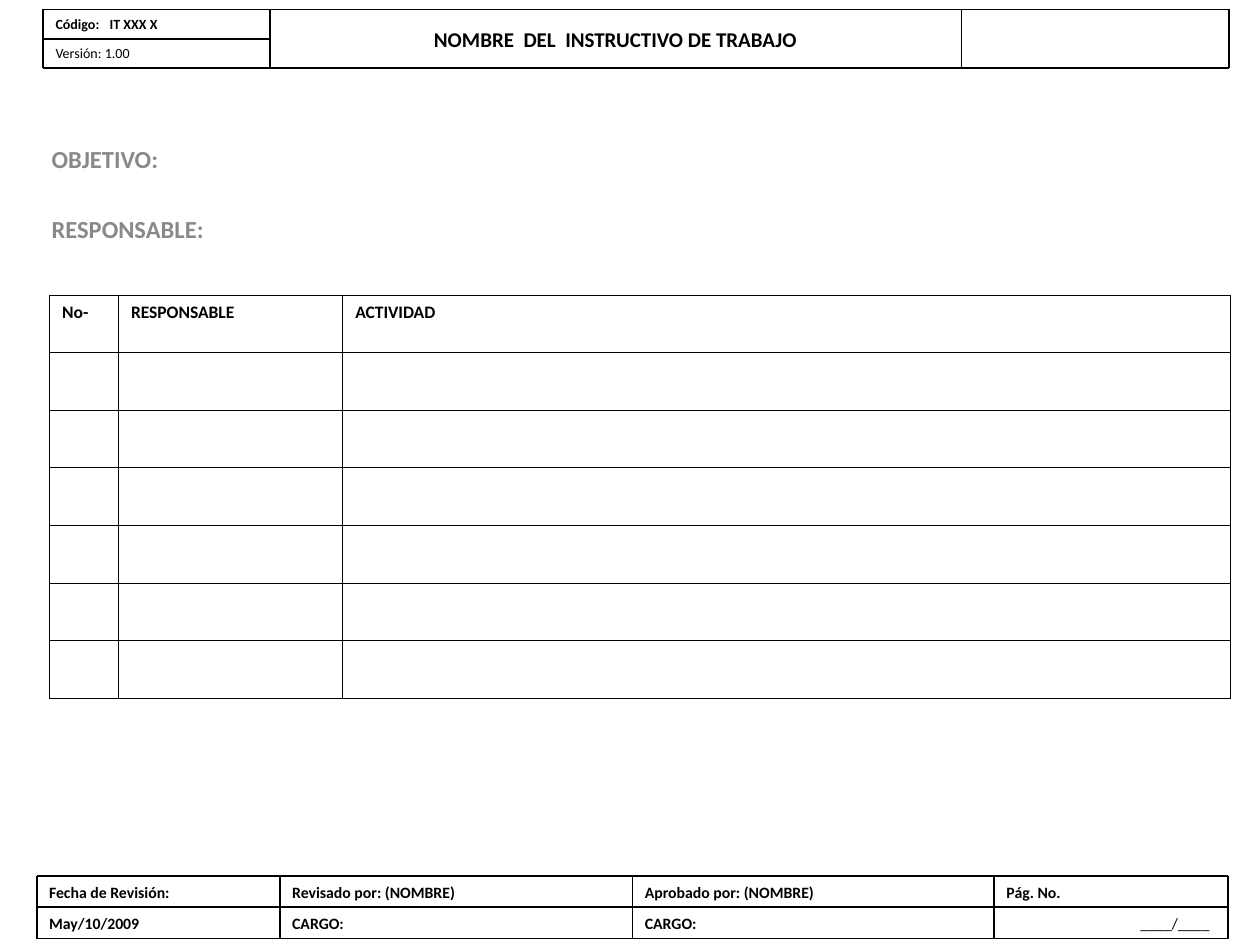
from lxml.etree import SubElement
from pptx import Presentation
from pptx.dml.color import RGBColor
from pptx.enum.shapes import MSO_CONNECTOR, MSO_SHAPE
from pptx.enum.text import MSO_ANCHOR, PP_ALIGN
from pptx.oxml import parse_xml
from pptx.oxml.ns import nsdecls, qn
from pptx.util import Cm, Pt

BLACK, WHITE, GRAY = "000000", "FFFFFF", "898989"
HEADER_X = [0.87, 5.44, 19.38, 24.78]
HEADER_Y = [0.19, 0.78, 1.37]
FOOTER_X = [0.74, 5.64, 12.75, 20.04, 24.76]
FOOTER_Y = [17.66, 18.29, 18.92]
FOOTER = [
    ["Fecha de Revisión:", "Revisado por: (NOMBRE)", "Aprobado por: (NOMBRE)", "Pág. No."],
    ["May/10/2009", "CARGO:", "CARGO:", "____/____"],
]
COLUMNS = [("No-", 1.39), ("RESPONSABLE", 4.52), ("ACTIVIDAD", 17.9)]
ROWS, ROW_HEIGHT = 7, 1.16


def color(value):
    return RGBColor.from_string(value)


def set_attrs(target, values):
    for name, value in values.items():
        setattr(target, name, value)


def add_tab(p, position):
    tabs = SubElement(p._p.get_or_add_pPr(), qn("a:tabLst"))
    SubElement(tabs, qn("a:tab"), pos=str(Cm(position)), algn="l")


def write(p, text, size, bold=True, fill=BLACK, align=PP_ALIGN.LEFT):
    p.alignment = align
    r = p.add_run()
    r.text = text
    set_attrs(r.font, {"name": "Calibri", "size": Pt(size), "bold": bold})
    r.font.color.rgb = color(fill)


def add_box(s, left, top, right, bottom, text="", size=9, bold=True,
            align=PP_ALIGN.LEFT, anchor=MSO_ANCHOR.MIDDLE, inset=0.25, tab=None):
    sp = s.shapes.add_shape(MSO_SHAPE.RECTANGLE, Cm(left), Cm(top),
                            Cm(right - left), Cm(bottom - top))
    sp.shadow.inherit = False
    sp.fill.solid()
    sp.fill.fore_color.rgb = color(WHITE)
    sp.line.fill.background()
    tf = sp.text_frame
    set_attrs(tf, {"word_wrap": True, "vertical_anchor": anchor,
                   "margin_left": Cm(0.25), "margin_right": Cm(inset),
                   "margin_top": Cm(0.13), "margin_bottom": Cm(0.13)})
    if text:
        p = tf.paragraphs[0]
        if tab:
            add_tab(p, tab)
        write(p, text, size, bold, align=align)


def add_line(s, x1, y1, x2, y2):
    line = s.shapes.add_connector(MSO_CONNECTOR.STRAIGHT, Cm(x1), Cm(y1), Cm(x2), Cm(y2))
    line.line.color.rgb = color(BLACK)
    line.line.width = Pt(1)
    SubElement(line._element.spPr, qn("a:effectLst"))


def add_frame(s, xs, ys):
    for x in xs:
        add_line(s, x, ys[0], x, ys[-1])
    for y in (ys[0], ys[-1]):
        add_line(s, xs[0], y, xs[-1], y)


def add_header(s):
    left, title, logo, right = HEADER_X
    top, middle, bottom = HEADER_Y
    add_box(s, left, top, title, middle, "Código:\tIT XXX X", 8, tab=1.09)
    add_box(s, left, middle, title, bottom, "Versión: 1.00", 8, bold=False)
    add_box(s, title, top, logo, bottom, "NOMBRE  DEL  INSTRUCTIVO DE TRABAJO", 12,
            align=PP_ALIGN.CENTER)
    add_box(s, logo, top, right, bottom)
    add_frame(s, HEADER_X, HEADER_Y)
    add_line(s, left, middle, title, middle)


def add_footer(s):
    for texts, top, bottom in zip(FOOTER, FOOTER_Y, FOOTER_Y[1:]):
        for text, left, right in zip(texts, FOOTER_X, FOOTER_X[1:]):
            style = {"anchor": MSO_ANCHOR.TOP}
            if text.startswith("_"):
                style.update(bold=False, align=PP_ALIGN.RIGHT, inset=0.38)
            add_box(s, left, top, right, bottom, text, **style)
    add_frame(s, FOOTER_X, FOOTER_Y)
    add_line(s, FOOTER_X[0], FOOTER_Y[1], FOOTER_X[-1], FOOTER_Y[1])


def add_fields(s):
    tf = s.shapes.add_textbox(Cm(0.79), Cm(2.77), Cm(23.8), Cm(2.77)).text_frame
    tf.word_wrap = True
    write(tf.paragraphs[0], "OBJETIVO:", 14, fill=GRAY)
    p = tf.add_paragraph()
    p.space_before = Pt(23.5)
    write(p, "RESPONSABLE:", 14, fill=GRAY)


def add_borders(cell):
    tcPr = cell._tc.get_or_add_tcPr()
    for i, side in enumerate(("lnL", "lnR", "lnT", "lnB")):
        tcPr.insert(i, parse_xml(
            f'<a:{side} {nsdecls("a")} w="{Pt(0.45)}"><a:solidFill>'
            f'<a:srgbClr val="{BLACK}"/></a:solidFill></a:{side}>'))


def add_activities(s):
    width = sum(w for _, w in COLUMNS)
    table = s.shapes.add_table(ROWS, len(COLUMNS), Cm(1), Cm(5.95),
                               Cm(width), Cm(ROWS * ROW_HEIGHT)).table
    set_attrs(table, {"first_row": False, "horz_banding": False})
    for row in table.rows:
        row.height = Cm(ROW_HEIGHT)
    for i, (title, w) in enumerate(COLUMNS):
        table.columns[i].width = Cm(w)
        write(table.cell(0, i).text_frame.paragraphs[0], title, 10)
    for cell in table.iter_cells():
        cell.fill.background()
        add_borders(cell)


def main():
    prs = Presentation()
    set_attrs(prs, {"slide_width": Cm(25.4), "slide_height": Cm(19.05)})
    s = prs.slides.add_slide(prs.slide_layouts[6])
    add_footer(s)
    add_header(s)
    add_fields(s)
    add_activities(s)
    prs.save("out.pptx")


if __name__ == "__main__":
    main()
